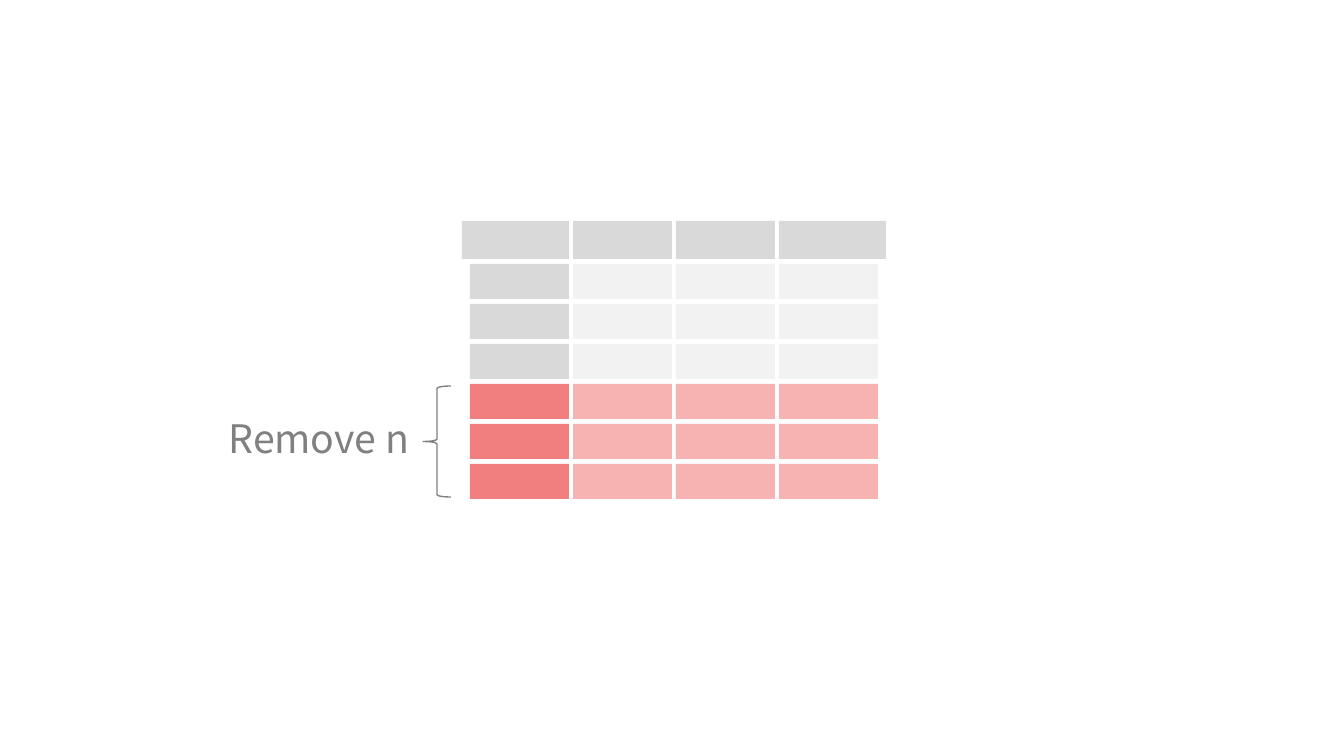
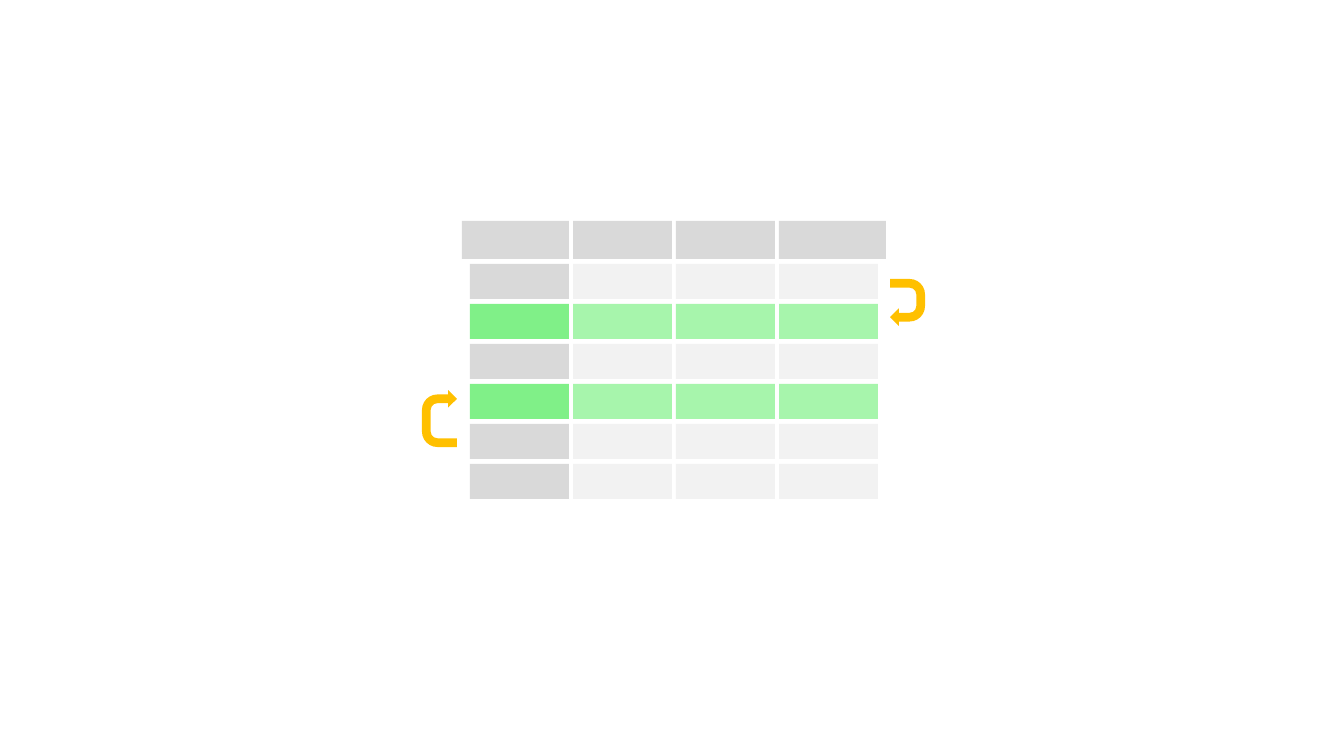
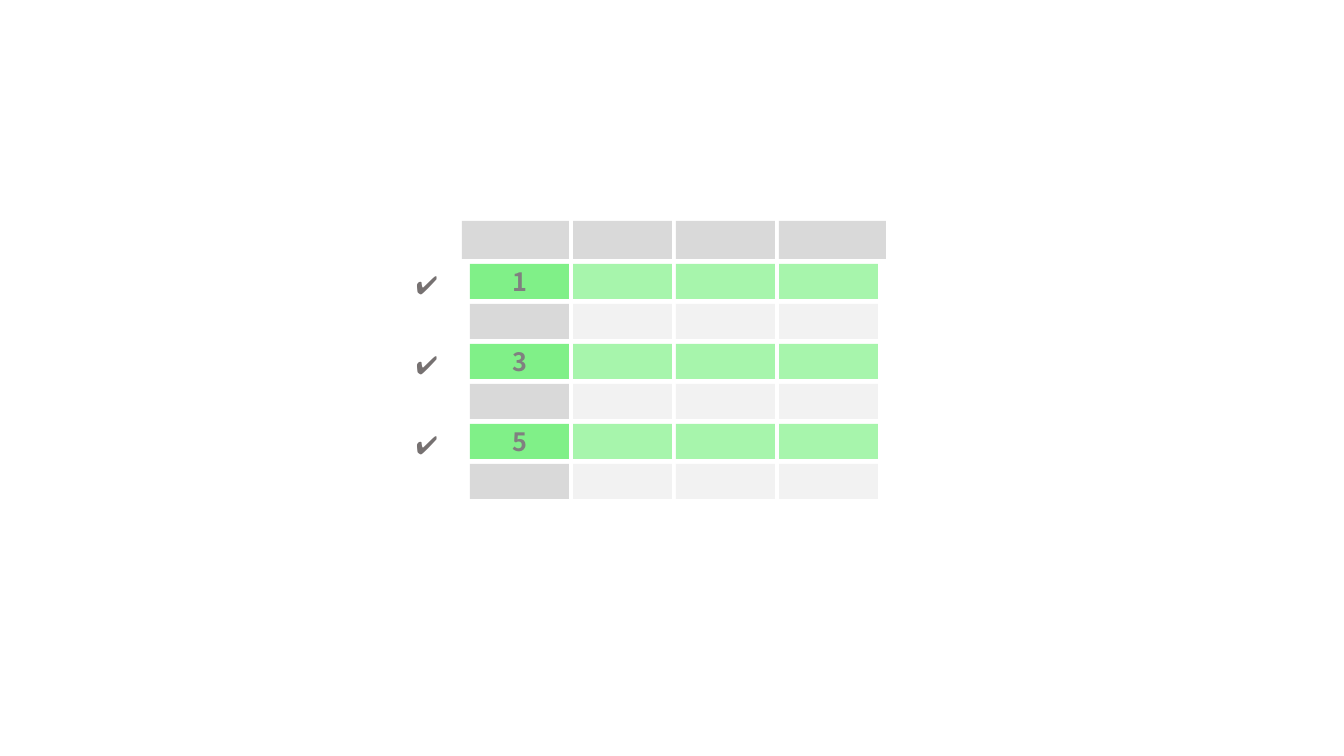
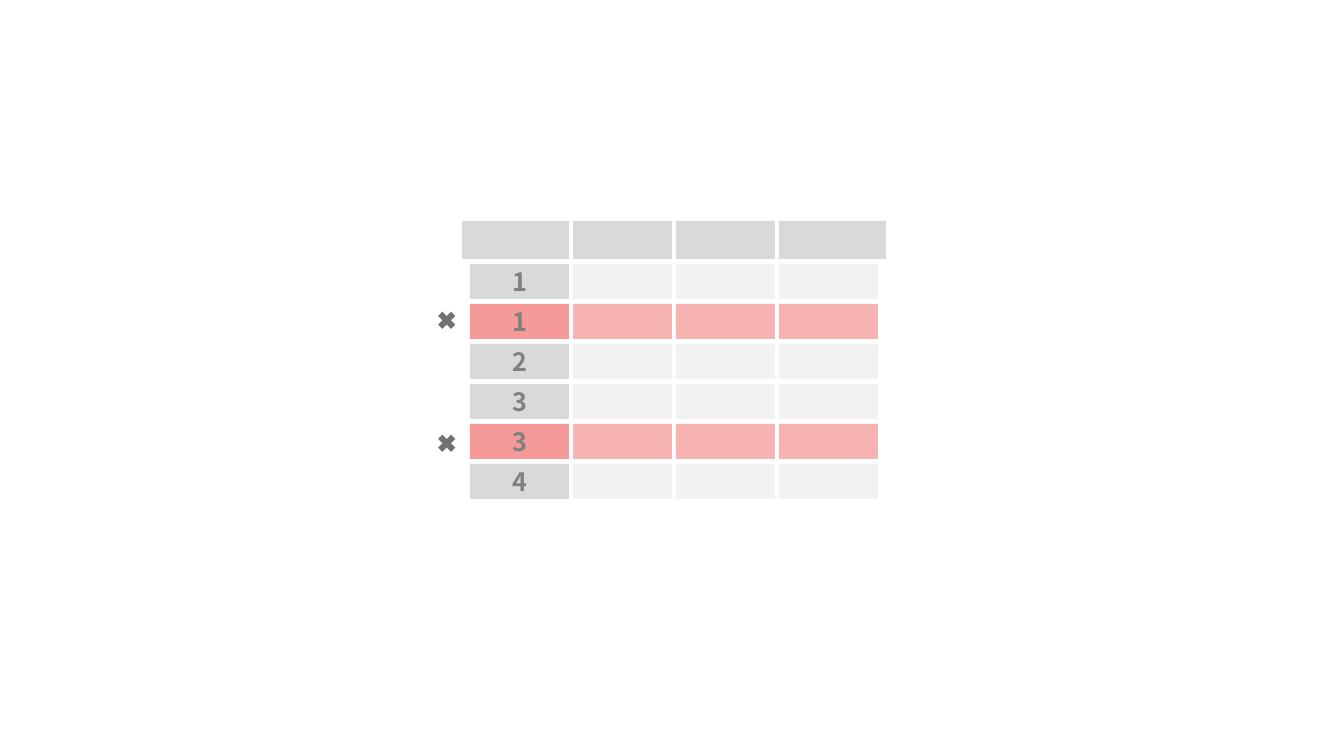
from lxml.etree import SubElement
from pptx import Presentation
from pptx.dml.color import RGBColor
from pptx.enum.shapes import MSO_SHAPE
from pptx.enum.text import MSO_ANCHOR, MSO_AUTO_SIZE, PP_ALIGN
from pptx.oxml.ns import qn
from pptx.util import Inches, Pt

PX = Inches(7.5) / 756
COLOURS = {
    "header": "D9D9D9",
    "cell": "F2F2F2",
    "removed": "E60000",
    "kept": "03E313",
    "arrow": "FFC000",
    "text": "808080",
    "mark": "767171",
}
SANS = "Noto Sans CJK SC"
SERIF = "Times New Roman"
LABEL = {"name": SANS, "size": Pt(18), "bold": True}
CAPTION = {"name": SANS, "size": Pt(28)}
CHECK = {"name": SERIF, "size": Pt(18), "bold": True}
CROSS = {"name": SANS, "size": Pt(18)}

# Grid of the data table
COLUMNS, ROWS = 4, 6
LEFT, COLUMN_STEP, CELL_WIDTH = 470, 103, 99
TOP, ROW_STEP, CELL_HEIGHT = 264, 40, 35
HEADER_TOP, HEADER_HEIGHT, OVERHANG = 221, 38, 8

# Each table: highlight colour, opacity of first and other columns, rows, labels
TABLES = [
    ("removed", 50, 30, (3, 4, 5), {}),
    ("kept", 50, 35, (1, 3), {}),
    ("kept", 50, 35, (0, 2, 4), {0: "1", 2: "3", 4: "5"}),
    ("removed", 40, 30, (1, 4), dict(enumerate("112334"))),
]


def add_block(page, kind, box, colour, opacity=100):
    shape = page.shapes.add_shape(kind, *[round(length * PX) for length in box])
    shape.shadow.inherit = False
    shape.line.fill.background()
    shape.fill.solid()
    shape.fill.fore_color.rgb = RGBColor.from_string(COLOURS[colour])
    if opacity < 100:
        tint = shape.fill._xPr.find(".//" + qn("a:srgbClr"))
        SubElement(tint, qn("a:alpha"), val=str(opacity * 1000))
    return shape


def write(frame, text, style, colour, align):
    para = frame.paragraphs[0]
    para.alignment = align
    span = para.add_run()
    span.text = text
    for name, value in style.items():
        setattr(span.font, name, value)
    span.font.color.rgb = RGBColor.from_string(COLOURS[colour])


deck = Presentation()
deck.slide_width = round(1344 * PX)
deck.slide_height = round(756 * PX)

# Tables
pages = []
for highlight, first_opacity, other_opacity, chosen, labels in TABLES:
    page = deck.slides.add_slide(deck.slide_layouts[6])
    pages.append(page)
    for column in range(COLUMNS):
        left = LEFT + column * COLUMN_STEP
        first, last = column == 0, column == COLUMNS - 1
        header = (left - OVERHANG * first, HEADER_TOP,
                  CELL_WIDTH + OVERHANG * (first or last), HEADER_HEIGHT)
        add_block(page, MSO_SHAPE.RECTANGLE, header, "header")
        for row in range(ROWS):
            box = (left, TOP + row * ROW_STEP, CELL_WIDTH, CELL_HEIGHT)
            if row in chosen:
                opacity = first_opacity if first else other_opacity
                cell = add_block(page, MSO_SHAPE.RECTANGLE, box, highlight, opacity)
            else:
                cell = add_block(page, MSO_SHAPE.RECTANGLE, box,
                                 "header" if first else "cell")
            if first and row in labels:
                cell.text_frame.vertical_anchor = MSO_ANCHOR.MIDDLE
                write(cell.text_frame, labels[row], LABEL, "text", PP_ALIGN.CENTER)

remove_page, move_page, check_page, cross_page = pages

# Brace around the removed rows
brace = add_block(remove_page, MSO_SHAPE.LEFT_BRACE, (423, 386, 28, 111), "text")
brace.fill.background()
brace.line.color.rgb = RGBColor.from_string(COLOURS["text"])
brace.line.width = Pt(1)

# Arrows between rows
for box, rotation in [((411, 401, 57, 35), 270), ((884, 285, 47, 35), 90)]:
    arrow = add_block(move_page, MSO_SHAPE.U_TURN_ARROW, box, "arrow")
    arrow.rotation = rotation
    for index, value in enumerate((0.25, 0.25, 0.25, 0.44, 1)):
        arrow.adjustments[index] = value

# Caption and row marks
notes = [(remove_page, "Remove n", (152, 409, 267, 57), CAPTION, "text", PP_ALIGN.RIGHT, True)]
for row in TABLES[2][3]:
    box = (406, TOP + row * ROW_STEP, 54, 40)
    notes.append((check_page, "✔", box, CHECK, "mark", PP_ALIGN.LEFT, False))
for top in (299, 422):
    notes.append((cross_page, "✖", (427, top, 33, 40), CROSS, "mark", PP_ALIGN.CENTER, True))

for page, text, box, style, colour, align, wrap in notes:
    note = page.shapes.add_textbox(*[round(length * PX) for length in box])
    note.text_frame.word_wrap = wrap
    note.text_frame.auto_size = MSO_AUTO_SIZE.SHAPE_TO_FIT_TEXT
    write(note.text_frame, text, style, colour, align)

deck.save("out.pptx")
